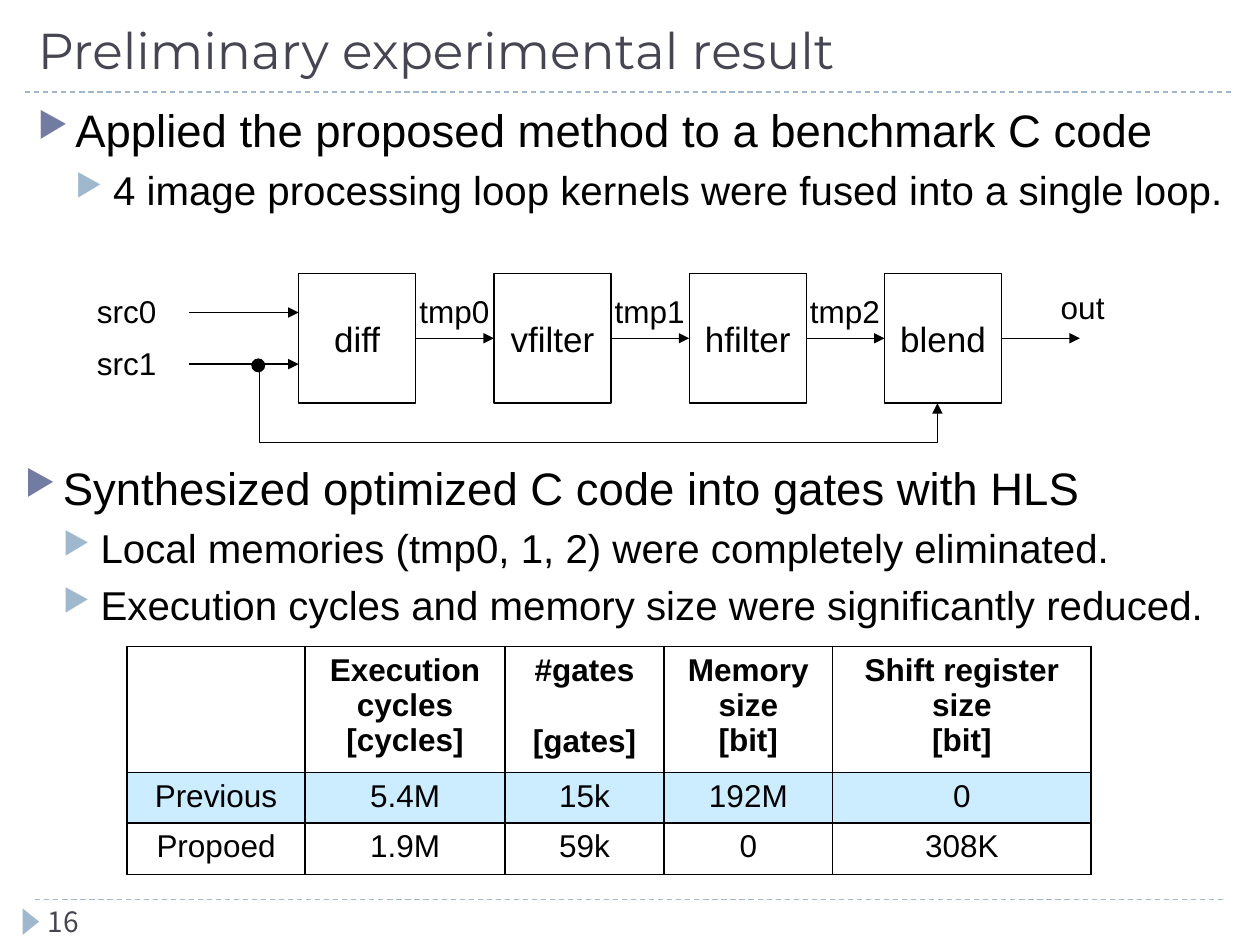
from dataclasses import dataclass
from lxml.etree import SubElement
from pptx import Presentation
from pptx.dml.color import RGBColor
from pptx.enum.dml import MSO_LINE
from pptx.enum.shapes import MSO_CONNECTOR, MSO_SHAPE
from pptx.enum.text import MSO_ANCHOR, MSO_AUTO_SIZE, PP_ALIGN
from pptx.oxml.ns import qn
from pptx.util import Emu, Inches, Pt

BLACK = RGBColor(0x00, 0x00, 0x00)
SLATE = RGBColor(0x46, 0x46, 0x53)
INDIGO = RGBColor(0x72, 0x7C, 0xA3)
STEEL = RGBColor(0x9F, 0xB8, 0xCD)
SKY = RGBColor(0xCC, 0xEC, 0xFF)
STEP = Inches(0.1)
COLS, ROWS = 100, 75
BOX_W, BOX_H, PITCH = 9.3, 10.3, 15.5
BOX_X, BOX_Y = 23.7, 21.7
MID = BOX_Y + BOX_H / 2


@dataclass
class Level:
    size: float
    indent: float
    before: float
    color: RGBColor


@dataclass
class Item:
    text: str
    level: int = 0


@dataclass
class Label:
    text: str
    x: float
    y: float
    w: float


LEVELS = [Level(26, 3, 6, INDIGO), Level(23, 6, 5, STEEL)]
INTRO = [
    Item("Applied the proposed method to a benchmark C code"),
    Item("4 image processing loop kernels were fused into a single loop.", 1),
]
RESULT = [
    Item("Synthesized optimized C code into gates with HLS"),
    Item("Local memories (tmp0, 1, 2) were completely eliminated.", 1),
    Item("Execution cycles and memory size were significantly reduced.", 1),
]
STAGES = ["diff", "vfilter", "hfilter", "blend"]
LABELS = [Label("src0", 6.7, 22.7, 6.8), Label("src1", 6.7, 26.8, 6.8),
          Label("out", 83.2, 22.4, 5.5)]
LABELS += [Label(f"tmp{i}", 32.3 + i * PITCH, 22.7, 7.6) for i in range(3)]
WIDTHS = [14.1, 15.9, 12.6, 13.4, 20.5]
HEIGHTS = [10, 4, 4.1]
CELLS = [
    [[], ["Execution cycles", "[cycles]"], ["#gates", "[gates]"],
     ["Memory", "size", "[bit]"], ["Shift register", "size", "[bit]"]],
    [["Previous"], ["5.4M"], ["15k"], ["192M"], ["0"]],
    [["Propoed"], ["1.9M"], ["59k"], ["0"], ["308K"]],
]


def grid(n: float) -> Emu:
    return Emu(round(n * STEP))


def area(*nums: float) -> list:
    return [grid(n) for n in nums]


def write(para, text: str, size: float, color=BLACK, font="Arial", bold=False):
    run = para.add_run()
    run.text = text
    run.font.size, run.font.name, run.font.bold = Pt(size), font, bold
    run.font.color.rgb = color


def text_box(slide, x: float, y: float, w: float, h: float, wrap=True):
    frame = slide.shapes.add_textbox(*area(x, y, w, h)).text_frame
    frame.word_wrap = wrap
    return frame


def bullets(slide, x: float, y: float, w: float, items: list[Item]):
    frame = text_box(slide, x, y, w, 20.5)
    for i, item in enumerate(items):
        level = LEVELS[item.level]
        para = frame.add_paragraph() if i else frame.paragraphs[0]
        para.level, para.space_before = item.level, Pt(level.before)
        props = para._p.get_or_add_pPr()
        props.set("marL", str(grid(level.indent)))
        props.set("indent", str(grid(-3)))
        tint = SubElement(props, qn("a:buClr"))
        SubElement(tint, qn("a:srgbClr"), val=str(level.color))
        SubElement(props, qn("a:buSzPct"), val="76000")
        SubElement(props, qn("a:buChar"), char="▶")
        write(para, item.text, level.size)


def arrow(line):
    SubElement(line._get_or_add_ln(), qn("a:tailEnd"), type="triangle")


def link(slide, x1: float, y1: float, x2: float, y2: float, color=BLACK):
    line = slide.shapes.add_connector(MSO_CONNECTOR.STRAIGHT, *area(x1, y1, x2, y2))
    line.line.color.rgb, line.line.width = color, Pt(0.75)
    SubElement(line._element.spPr, qn("a:effectLst"))
    return line


def shape(slide, kind, x: float, y: float, w: float, h: float, fill=None, edge=BLACK):
    item = slide.shapes.add_shape(kind, *area(x, y, w, h))
    item.shadow.inherit = False
    paint(item.fill, fill)
    if edge is None:
        item.line.fill.background()
    else:
        item.line.color.rgb, item.line.width = edge, Pt(0.75)
    return item


def paint(fill, color):
    if color is None:
        fill.background()
    else:
        fill.solid()
        fill.fore_color.rgb = color


def flow(slide):
    boxes = []
    for i, name in enumerate(STAGES):
        box = shape(slide, MSO_SHAPE.RECTANGLE, BOX_X + i * PITCH, BOX_Y, BOX_W, BOX_H)
        frame = box.text_frame
        frame.word_wrap, frame.vertical_anchor = False, MSO_ANCHOR.MIDDLE
        frame.paragraphs[0].alignment = PP_ALIGN.CENTER
        write(frame.paragraphs[0], name, 20)
        boxes.append(box)
    for i, box in enumerate(boxes):
        right = BOX_X + i * PITCH + BOX_W
        line = link(slide, right, MID, right + PITCH - BOX_W, MID)
        line.begin_connect(box, 3)
        if i + 1 < len(boxes):
            line.end_connect(boxes[i + 1], 1)
        arrow(line.line)
    for y in (24.8, 28.9):
        arrow(link(slide, 15, y, BOX_X, y).line)
    for tag in LABELS:
        frame = text_box(slide, tag.x, tag.y, tag.w, 4, False)
        write(frame.paragraphs[0], tag.text, 18)
    end = BOX_X + 3 * PITCH + 4.2
    pen = slide.shapes.build_freeform(*area(20.6, 28.9))
    pen.add_line_segments(
        [area(20.6, 35.1), area(end, 35.1), area(end, BOX_Y + BOX_H)], close=False)
    path = pen.convert_to_shape()
    path.shadow.inherit = False
    path.fill.background()
    path.line.color.rgb, path.line.width = BLACK, Pt(0.75)
    arrow(path.line)
    shape(slide, MSO_SHAPE.OVAL, 20, 28.5, 1, 1, BLACK)


def border(cell):
    props = cell._tc.get_or_add_tcPr()
    for side in ("lnL", "lnR", "lnT", "lnB"):
        edge = SubElement(props, qn(f"a:{side}"), w=str(Pt(1)))
        fill = SubElement(edge, qn("a:solidFill"))
        SubElement(fill, qn("a:srgbClr"), val=str(BLACK))


def table(slide):
    place = area(10.1, 51.3, sum(WIDTHS), sum(HEIGHTS))
    chart = slide.shapes.add_table(len(HEIGHTS), len(WIDTHS), *place).table
    chart.first_row = chart.horz_banding = False
    for col, width in zip(chart.columns, WIDTHS):
        col.width = grid(width)
    for r, row in enumerate(CELLS):
        chart.rows[r].height = grid(HEIGHTS[r])
        for c, lines in enumerate(row):
            cell = chart.cell(r, c)
            border(cell)
            paint(cell.fill, SKY if r == 1 else None)
            for i, text in enumerate(lines):
                frame = cell.text_frame
                para = frame.add_paragraph() if i else frame.paragraphs[0]
                para.alignment = PP_ALIGN.CENTER
                if text == "[gates]":
                    para.space_before = Pt(20.5)
                write(para, text, 18, bold=r == 0)


def main():
    deck = Presentation()
    deck.slide_width, deck.slide_height = grid(COLS), grid(ROWS)
    slide = deck.slides.add_slide(deck.slide_layouts[5])
    for x, y in ((2.8, 71.4), (2, 7.3)):
        link(slide, x, y, COLS - x, y, STEEL).line.dash_style = MSO_LINE.DASH
    mark = shape(slide, MSO_SHAPE.ISOSCELES_TRIANGLE, 1.4, 72.5, 2.1, 1.3, STEEL, None)
    mark.rotation = 90
    title = slide.shapes.title
    title.left, title.top, title.width, title.height = area(2, 0.5, 96.1, 6.3)
    frame = title.text_frame
    frame.auto_size, frame.vertical_anchor = MSO_AUTO_SIZE.NONE, MSO_ANCHOR.BOTTOM
    frame.paragraphs[0].alignment = PP_ALIGN.LEFT
    write(frame.paragraphs[0], "Preliminary experimental result", 28.8, SLATE, "Montserrat")
    page = text_box(slide, 2.8, 71.3, 21.7, 3.1)
    write(page.paragraphs[0], "16", 16, SLATE, "Noto Sans CJK JP")
    bullets(slide, 2, 7.6, 98, INTRO)
    flow(slide)
    table(slide)
    bullets(slide, 1, 36, 98, RESULT)
    deck.save("out.pptx")


if __name__ == "__main__":
    main()
